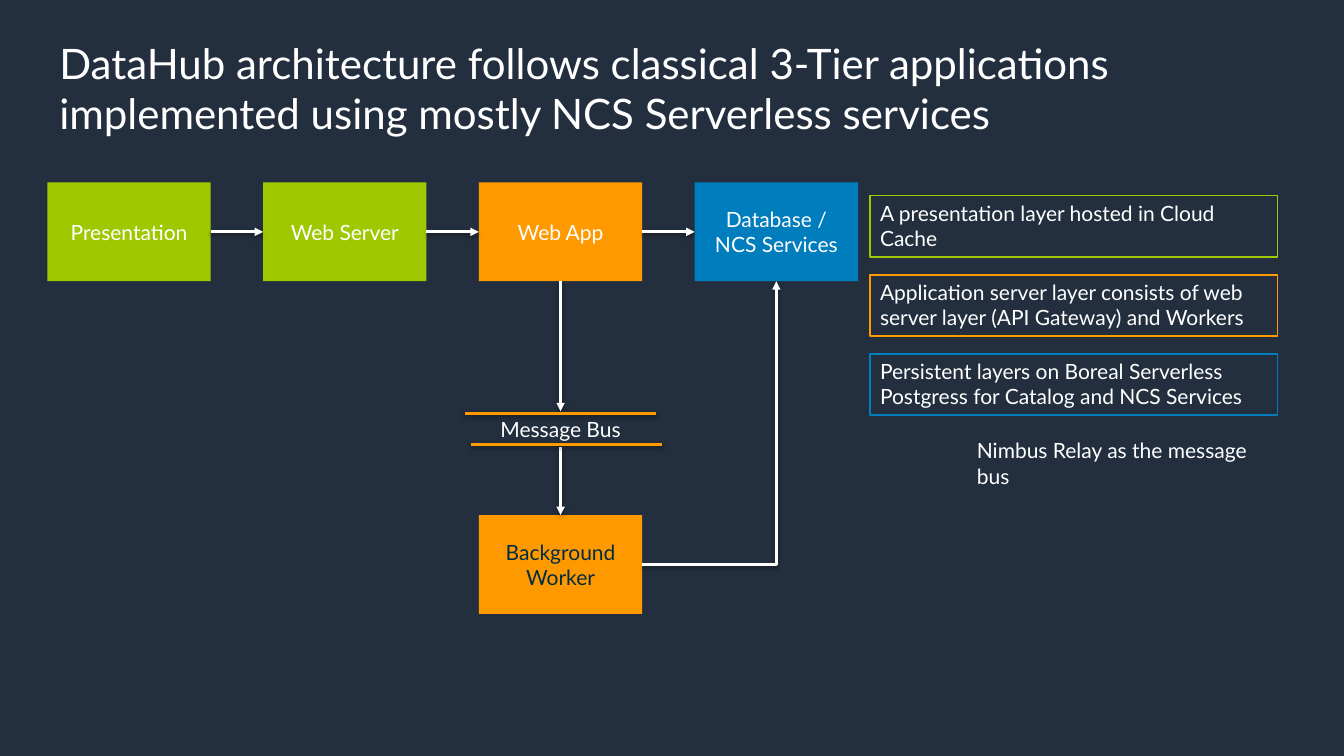
from lxml import etree
from pptx import Presentation
from pptx import util as u
from pptx.dml.color import RGBColor
from pptx.enum import shapes, text
from pptx.oxml.ns import qn

NAVY = RGBColor(0x23, 0x2F, 0x3E)
WHITE = RGBColor(0xFF, 0xFF, 0xFF)
GREEN = RGBColor(0xA0, 0xC8, 0x00)
ORANGE = RGBColor(0xFF, 0x99, 0x00)
BLUE = RGBColor(0x00, 0x7D, 0xBC)
INK = RGBColor(0x00, 0x2D, 0x43)

# Content
TITLE = ("DataHub architecture follows classical 3-Tier applications "
         "implemented using mostly NCS Serverless services")
TIERS = [  # label, fill, text colour, column, row
    ("Presentation", GREEN, WHITE, 0, 0),
    ("Web Server", GREEN, WHITE, 1, 0),
    ("Web App", ORANGE, WHITE, 2, 0),
    ("Database / NCS Services", BLUE, WHITE, 3, 0),
    ("Background Worker", ORANGE, INK, 2, 1),
]
BUS = "Message Bus"
NOTES = [  # wording, outline, left edge
    ("A presentation layer hosted in Cloud Cache", GREEN, 8.63),
    ("Application server layer consists of web server layer "
     "(API Gateway) and Workers", ORANGE, 8.63),
    ("Persistent layers on Boreal Serverless Postgress for Catalog "
     "and NCS Services", BLUE, 8.63),
    ("Nimbus Relay as the message bus", None, 9.59),
]

# Grid, in inches
LEFT, TOP, COLUMN, ROW = 0.47, 1.81, 2.14, 3.3
TIER_W, TIER_H = 1.62, 0.98
BUS_LEFT, BUS_TOP, BUS_W, BUS_H = 4.61, 4.08, 1.9, 0.35
NOTE_TOP, NOTE_STEP, NOTE_H, NOTE_RIGHT = 1.94, 0.785, 0.61, 12.67

deck = Presentation()
deck.slide_width, deck.slide_height = u.Inches(13.33), u.Inches(7.5)
page = deck.slides.add_slide(deck.slide_layouts[6])
page.background.fill.solid()
page.background.fill.fore_color.rgb = NAVY


def write(box, wording, size=15, colour=WHITE, align=text.PP_ALIGN.LEFT,
          anchor=text.MSO_ANCHOR.TOP):
    frame = box.text_frame
    frame.word_wrap = True
    frame.vertical_anchor = anchor
    para = frame.paragraphs[0]
    para.alignment = align
    span = para.add_run()
    span.text = wording
    for name, value in {"name": "Lato", "size": u.Pt(size)}.items():
        setattr(span.font, name, value)
    span.font.color.rgb = colour


def text_box(wording, left, top, width, height, **style):
    box = page.shapes.add_textbox(*map(u.Inches, (left, top, width, height)))
    write(box, wording, **style)
    return box


def rectangle(left, top, width, height, fill=None, outline=None):
    box = page.shapes.add_shape(shapes.MSO_SHAPE.RECTANGLE,
                                *map(u.Inches, (left, top, width, height)))
    box.shadow.inherit = False
    if fill is None:
        box.fill.background()
    else:
        box.fill.solid()
        box.fill.fore_color.rgb = fill
    if outline is None:
        box.line.fill.background()
    else:
        box.line.color.rgb = outline
        box.line.width = u.Pt(1.25)
    return box


def line(start, end, colour=WHITE, arrow=True, kind=shapes.MSO_CONNECTOR.STRAIGHT):
    link = page.shapes.add_connector(kind, *map(u.Inches, (*start, *end)))
    link.line.color.rgb = colour
    link.line.width = u.Pt(2)
    if arrow:
        etree.SubElement(link.line._get_or_add_ln(), qn("a:tailEnd"), type="triangle")
    # Soft shadow straight below
    effects = etree.SubElement(link._element.spPr, qn("a:effectLst"))
    shadow = etree.SubElement(effects, qn("a:outerShdw"), blurRad="40000",
                              dist="20000", dir="5400000", rotWithShape="0")
    black = etree.SubElement(shadow, qn("a:srgbClr"), val="000000")
    etree.SubElement(black, qn("a:alpha"), val="38000")
    return link


def join(source, source_side, target, target_side):
    link = line((0, 0), (1, 1))
    link.begin_connect(source, source_side)
    link.end_connect(target, target_side)


# Title
text_box(TITLE, 0.49, 0.32, 11.96, 0.8, size=30)

# Tiers
tiers = []
for label, fill, colour, column, row in TIERS:
    tier = rectangle(LEFT + column * COLUMN, TOP + row * ROW, TIER_W, TIER_H, fill)
    write(tier, label, colour=colour, align=text.PP_ALIGN.CENTER,
          anchor=text.MSO_ANCHOR.MIDDLE)
    tiers.append(tier)
app, worker = tiers[2], tiers[4]

# Message bus between two rules
bus = text_box(BUS, BUS_LEFT, BUS_TOP, BUS_W, BUS_H, align=text.PP_ALIGN.CENTER)

# Flow arrows
for source, target in zip(tiers[:3], tiers[1:4]):
    join(source, 3, target, 1)
join(app, 2, bus, 0)
join(bus, 2, worker, 0)
worker_exit = (LEFT + 2 * COLUMN + TIER_W, TOP + ROW + TIER_H / 2)
database_foot = (LEFT + 3 * COLUMN + TIER_W / 2, TOP + TIER_H)
elbow = line(worker_exit, database_foot, kind=shapes.MSO_CONNECTOR.ELBOW)
elbow._element.spPr.find(qn("a:prstGeom")).set("prst", "bentConnector2")

for left, top in ((BUS_LEFT, 4.1), (BUS_LEFT + 0.06, 4.41)):
    line((left, top), (left + BUS_W, top), ORANGE, arrow=False)

# Notes on the right
for index, (wording, outline, left) in enumerate(NOTES):
    place = (left, NOTE_TOP + index * NOTE_STEP, NOTE_RIGHT - left, NOTE_H)
    if outline is None:
        text_box(wording, *place)
    else:
        write(rectangle(*place, outline=outline), wording)

deck.save("out.pptx")
